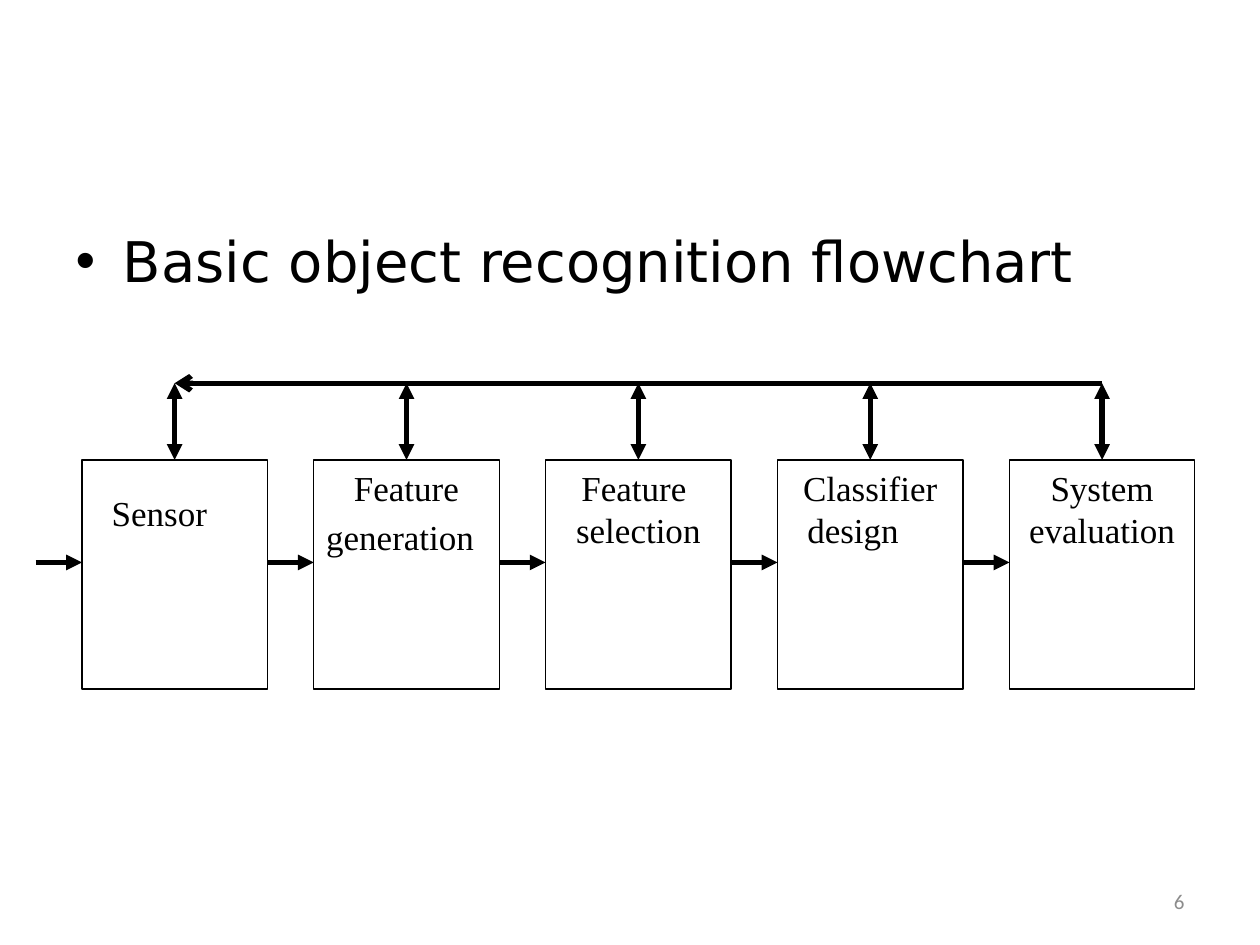
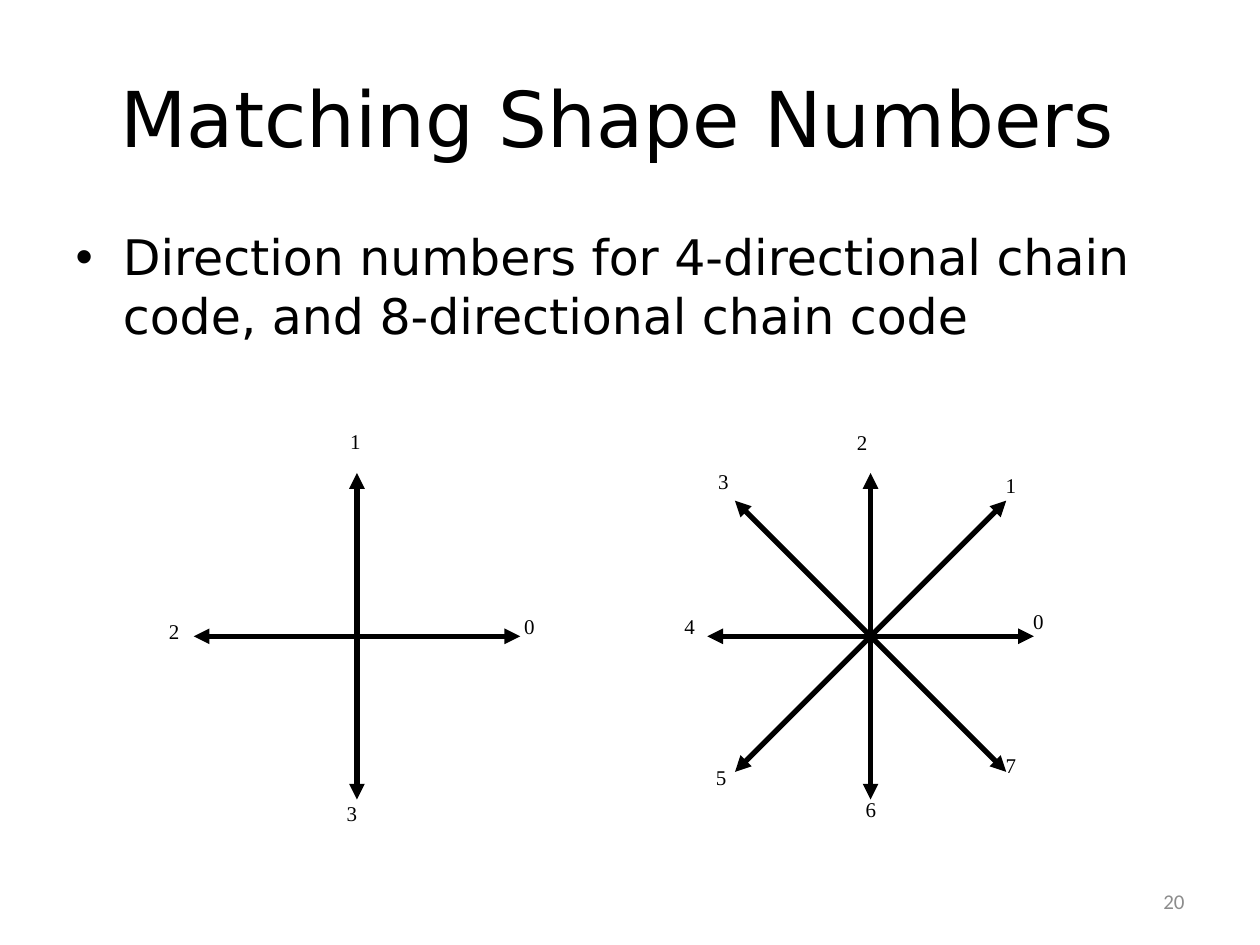
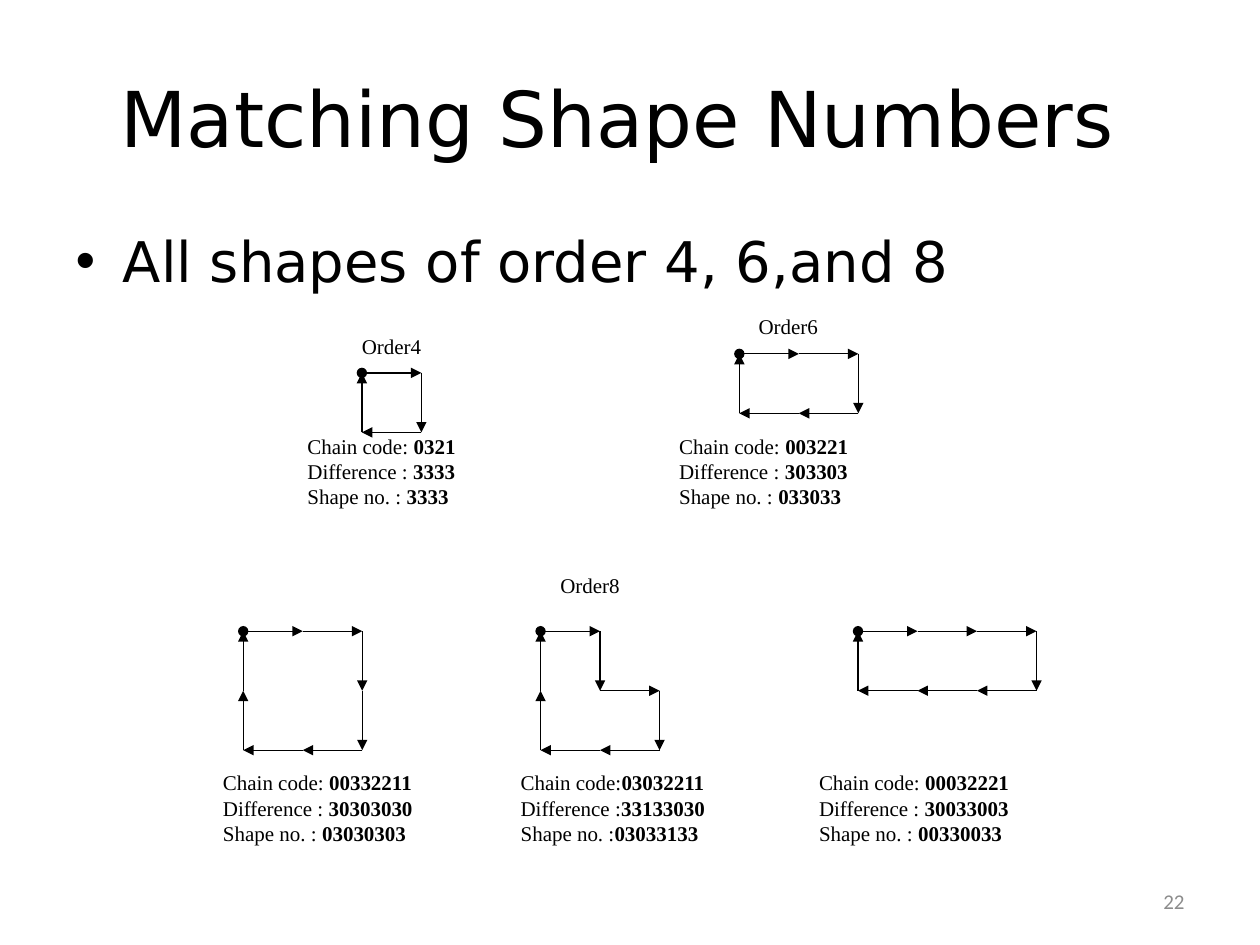
import math
from dataclasses import dataclass

from lxml import etree
from pptx import Presentation
from pptx.dml.color import RGBColor
from pptx.enum.shapes import MSO_CONNECTOR, MSO_SHAPE
from pptx.enum.text import MSO_ANCHOR, PP_ALIGN
from pptx.oxml.ns import qn
from pptx.util import Pt

LINE, RECT = MSO_CONNECTOR.STRAIGHT, MSO_SHAPE.RECTANGLE
CENTER, RIGHT = PP_ALIGN.CENTER, PP_ALIGN.RIGHT
TOP, MIDDLE = MSO_ANCHOR.TOP, MSO_ANCHOR.MIDDLE

BLACK = RGBColor(0x00, 0x00, 0x00)
WHITE = RGBColor(0xFF, 0xFF, 0xFF)
GREY = RGBColor(0x8C, 0x8C, 0x8C)

HEADING_FONT = "DejaVu Sans"
DIAGRAM_FONT = "Times New Roman"
NUMBER_FONT = "Calibri"

SHAPE_TITLE = "Matching Shape Numbers "
THICK, THIN = 3, 0.75


@dataclass
class Stage:
    lines: list[str]
    top_inset: float = 3.6
    line_gap: float = 0


@dataclass
class Compass:
    x: float
    labels: list[tuple[float, float]]  # left and top, by direction number


@dataclass
class ChainShape:
    code: str
    start: tuple[float, float]
    caption: tuple[float, float]
    width: float
    gap: str = " "


STAGES = [
    Stage(["Sensor\t"], top_inset=18),
    Stage(["Feature", "generation\t"], line_gap=4),
    Stage(["Feature ", "selection"]),
    Stage(["Classifier design\t"]),
    Stage(["System evaluation"]),
]

COMPASSES = [
    Compass(204, [(299.5, 350.6), (200, 244.8), (96.5, 353.5), (198, 457.2)]),
    Compass(497.5, [(590.4, 347.8), (574.6, 270), (489.6, 245.5), (410.4, 267.8),
                    (391, 350.6), (409, 437), (494.6, 455), (574.6, 429.8)]),
]

CHAIN_SHAPES = [
    ChainShape("0321", (206.8, 213.1), (175.7, 247.7), 133),
    ChainShape("003221", (422.5, 202.2), (388.1, 247.7), 133),
    ChainShape("00332211", (139, 360.7), (127.4, 440), 148),
    ChainShape("03032211", (308.9, 360.7), (297.5, 440), 148, gap=""),
    ChainShape("00032221", (490.3, 360.7), (468, 440), 148),
]

ORDER_LABELS = [("Order4", 206.8, 190.8), ("Order6", 433.5, 179.3), ("Order8", 320.2, 326.9)]


# Shared parts
def style(p, font: str, size: float, color: RGBColor = BLACK) -> None:
    p.font.name, p.font.size, p.font.color.rgb = font, Pt(size), color


def add_text(slide, left: float, top: float, width: float, height: float,
             text: str = "") -> object:
    """Add a diagram label without insets."""
    tf = slide.shapes.add_textbox(Pt(left), Pt(top), Pt(width), Pt(height)).text_frame
    tf.word_wrap = True
    tf.margin_left = tf.margin_right = tf.margin_top = tf.margin_bottom = 0
    tf.text = text
    style(tf.paragraphs[0], DIAGRAM_FONT, 12)
    return tf


def add_line(slide, x1: float, y1: float, x2: float, y2: float, width: float,
             tail: str = "triangle", head: str = "none") -> None:
    c = slide.shapes.add_connector(LINE, Pt(x1), Pt(y1), Pt(x2), Pt(y2))
    c.line.color.rgb, c.line.width = BLACK, Pt(width)
    sp_pr = c._element.spPr
    ln = sp_pr.find(qn("a:ln"))
    etree.SubElement(ln, qn("a:headEnd"), type=head)
    etree.SubElement(ln, qn("a:tailEnd"), type=tail)
    etree.SubElement(sp_pr, qn("a:effectLst"))


def add_slide(prs, number: int, title: str, bullet: str, size: float) -> object:
    slide = prs.slides.add_slide(prs.slide_layouts[1])
    heading, body = slide.placeholders
    if title:
        heading.text_frame.text = title
        style(heading.text_frame.paragraphs[0], HEADING_FONT, 44)
    else:
        heading._element.getparent().remove(heading._element)
    body.left, body.top, body.width, body.height = Pt(36), Pt(126), Pt(648), Pt(356.4)
    body.text_frame.text = bullet
    style(body.text_frame.paragraphs[0], HEADING_FONT, size)

    # Slide number
    tf = slide.shapes.add_textbox(Pt(516), Pt(500.5), Pt(168), Pt(28.8)).text_frame
    tf.word_wrap, tf.vertical_anchor = True, MIDDLE
    tf.text = str(number)
    p = tf.paragraphs[0]
    p.alignment = RIGHT
    style(p, NUMBER_FONT, 12, GREY)
    return slide


# Flowchart
def add_stage(slide, stage: Stage, left: float, top: float, width: float, height: float) -> None:
    sp = slide.shapes.add_shape(RECT, Pt(left), Pt(top), Pt(width), Pt(height))
    sp.shadow.inherit = False
    sp.fill.solid()
    sp.fill.fore_color.rgb = WHITE
    sp.line.color.rgb, sp.line.width = BLACK, Pt(THIN)
    tf = sp.text_frame
    tf.word_wrap, tf.vertical_anchor = True, TOP
    tf.margin_top = Pt(stage.top_inset)
    tf.text = "\n".join(stage.lines)
    for i, p in enumerate(tf.paragraphs):
        p.alignment = CENTER
        if i and stage.line_gap:
            p.space_before = Pt(stage.line_gap)
        style(p, DIAGRAM_FONT, 20)


def build_flowchart(prs) -> None:
    slide = add_slide(prs, 6, "", "Basic object recognition flowchart", 32)
    left, top, width, height, gap = 46.8, 262.8, 106, 131, 26.5
    bus_y, flow_y = 219, 321.4
    centers = []
    for i, stage in enumerate(STAGES):
        x = left + i * (width + gap)
        centers.append(x + width / 2)
        add_stage(slide, stage, x, top, width, height)
        add_line(slide, x - gap, flow_y, x, flow_y, THICK)
        add_line(slide, centers[-1], top, centers[-1], bus_y, THICK, head="triangle")
    add_line(slide, centers[-1], bus_y, centers[0], bus_y, THICK, tail="arrow")


# Direction numbers
def build_directions(prs) -> None:
    slide = add_slide(prs, 20, SHAPE_TITLE, "Direction numbers for 4-directional chain code, "
                      "and 8-directional chain code", 28)
    y, straight, diagonal = 363.6, 93.3, 109.6
    for compass in COMPASSES:
        count = len(compass.labels)
        for i, (left, top) in enumerate(compass.labels):
            degrees = 360 * i // count
            angle = math.radians(degrees)
            length = diagonal if degrees % 90 else straight
            add_line(slide, compass.x, y, compass.x + length * math.cos(angle),
                     y - length * math.sin(angle), THICK)
            add_text(slide, left, top, 22.3, 31, str(i))


# Shapes by order
def difference(code: str) -> str:
    return "".join(str((int(b) - int(a)) % 4) for a, b in zip(code[-1] + code, code))


def shape_number(code: str) -> str:
    diff = difference(code)
    return min(diff[i:] + diff[:i] for i in range(len(diff)))


def add_chain(slide, chain: ChainShape) -> None:
    step = 34
    moves = {"0": (step, 0), "1": (0, -step), "2": (-step, 0), "3": (0, step)}
    x, y = chain.start
    for i, digit in enumerate(chain.code):
        dx, dy = moves[digit]
        add_line(slide, x, y, x + dx, y + dy, THIN, head="none" if i else "oval")
        x, y = x + dx, y + dy

    rows = [("Chain code:", chain.code), ("Difference :", difference(chain.code)),
            ("Shape no. :", shape_number(chain.code))]
    tf = add_text(slide, *chain.caption, chain.width, 79)
    for i, (label, value) in enumerate(rows):
        p = tf.add_paragraph() if i else tf.paragraphs[0]
        style(p, DIAGRAM_FONT, 12)
        p.add_run().text = label + chain.gap
        r = p.add_run()
        r.text, r.font.bold = value, True


def build_orders(prs) -> None:
    slide = add_slide(prs, 22, SHAPE_TITLE, "All shapes of order 4, 6,and 8", 32)
    for chain in CHAIN_SHAPES:
        add_chain(slide, chain)
    for text, left, top in ORDER_LABELS:
        add_text(slide, left, top, 45.4, 15, text)


def main() -> None:
    prs = Presentation()
    prs.slide_width, prs.slide_height = Pt(720), Pt(540)
    build_flowchart(prs)
    build_directions(prs)
    build_orders(prs)
    prs.save("out.pptx")


if __name__ == "__main__":
    main()
